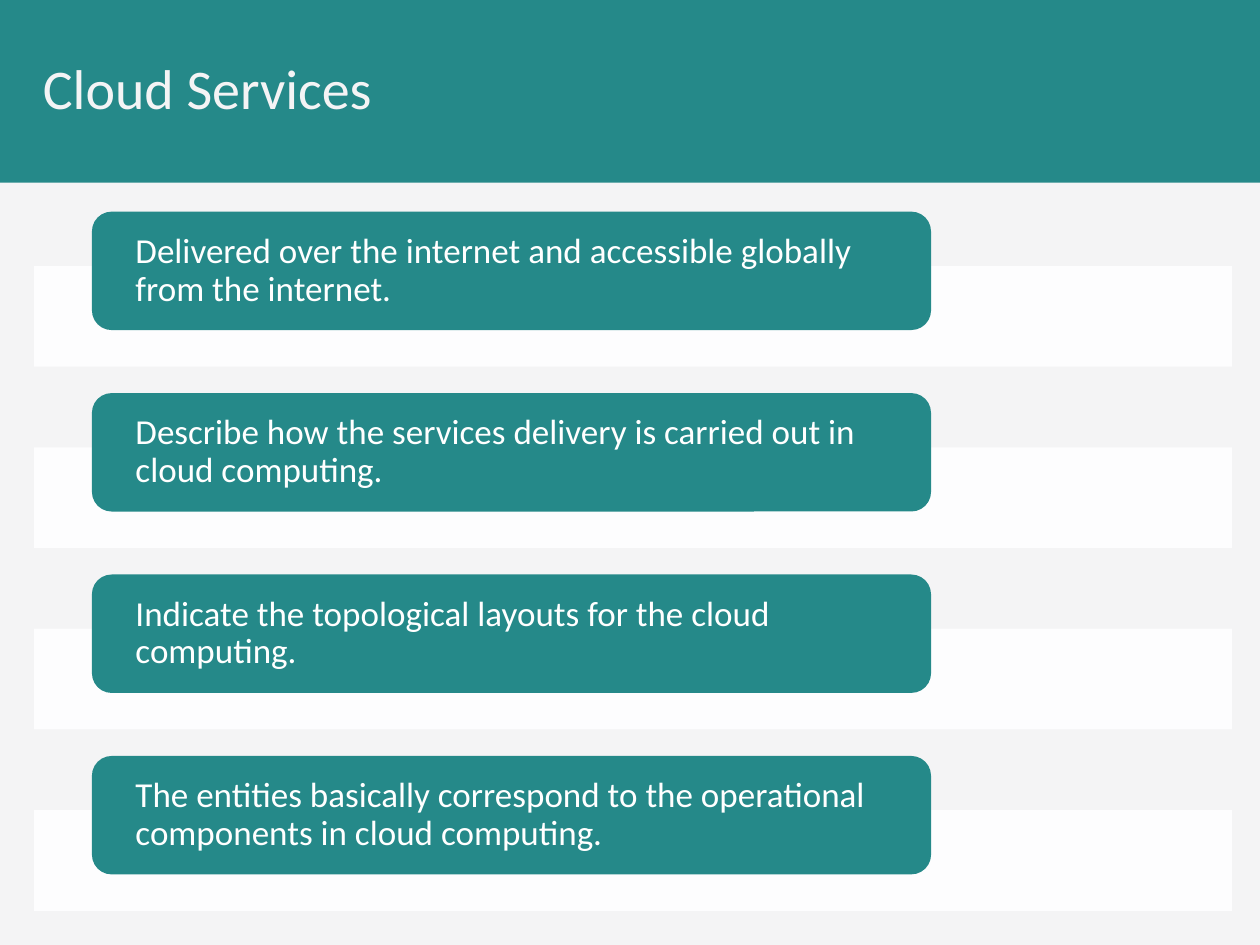
from lxml.etree import SubElement
from pptx import Presentation
from pptx.dml.color import RGBColor
from pptx.enum.shapes import MSO_SHAPE
from pptx.enum.text import MSO_ANCHOR, PP_ALIGN
from pptx.oxml.ns import qn
from pptx.util import Inches, Pt

TITLE = "Cloud Services"
STATEMENTS = [
    "Delivered over the internet and accessible globally from the internet.",
    "Describe how the services delivery is carried out in cloud computing.",
    "Indicate the topological layouts for the cloud computing.",
    "The entities basically correspond to the operational components in cloud computing.",
]
COLORS = {"teal": "258989", "background": "F4F4F5", "white": "FFFFFF"}
FONT = "Calibri"
HEADER_HEIGHT = 1.45
FIRST_TOP, ROW_PITCH, STRIP_OFFSET = 1.68, 1.44, 0.43


def add_box(slide, kind, left, top, width, height, color):
    shape = slide.shapes.add_shape(
        kind, Inches(left), Inches(top), Inches(width), Inches(height))
    shape.shadow.inherit = False
    shape.fill.solid()
    shape.fill.fore_color.rgb = RGBColor.from_string(COLORS[color])
    shape.line.fill.background()
    return shape


def write_text(shape, text, size, color, inset):
    frame = shape.text_frame
    frame.word_wrap = True
    frame.vertical_anchor = MSO_ANCHOR.MIDDLE
    frame.margin_left = frame.margin_right = Inches(inset)
    frame.margin_top = frame.margin_bottom = 0
    paragraph = frame.paragraphs[0]
    paragraph.alignment = PP_ALIGN.LEFT
    paragraph.line_spacing = 0.9
    run = paragraph.add_run()
    run.text = text
    run.font.name = FONT
    run.font.size = Pt(size)
    run.font.color.rgb = RGBColor.from_string(COLORS[color])


def add_statement(slide, top, text):
    strip = add_box(slide, MSO_SHAPE.RECTANGLE, 0.27, top + STRIP_OFFSET, 9.51, 0.8, "white")
    color = strip.element.spPr.find(qn("a:solidFill"))[0]
    SubElement(color, qn("a:alpha")).set("val", "90000")
    card = add_box(slide, MSO_SHAPE.ROUNDED_RECTANGLE, 0.73, top, 6.66, 0.94, "teal")
    write_text(card, text, 20, "white", 0.3)


def main():
    presentation = Presentation()
    presentation.slide_width = Inches(10)
    presentation.slide_height = Inches(7.5)
    slide = presentation.slides.add_slide(presentation.slide_layouts[5])
    slide.background.fill.solid()
    slide.background.fill.fore_color.rgb = RGBColor.from_string(COLORS["background"])

    header = add_box(slide, MSO_SHAPE.RECTANGLE, 0, 0, 10, HEADER_HEIGHT, "teal")
    title = slide.shapes.title
    title.left, title.top = Inches(0.24), Inches(0)
    title.width, title.height = Inches(9.51), Inches(HEADER_HEIGHT)
    write_text(title, TITLE, 32, "background", 0.1)
    title.element.addprevious(header.element)

    for index, text in enumerate(STATEMENTS):
        add_statement(slide, FIRST_TOP + index * ROW_PITCH, text)
    presentation.save("out.pptx")


if __name__ == "__main__":
    main()
